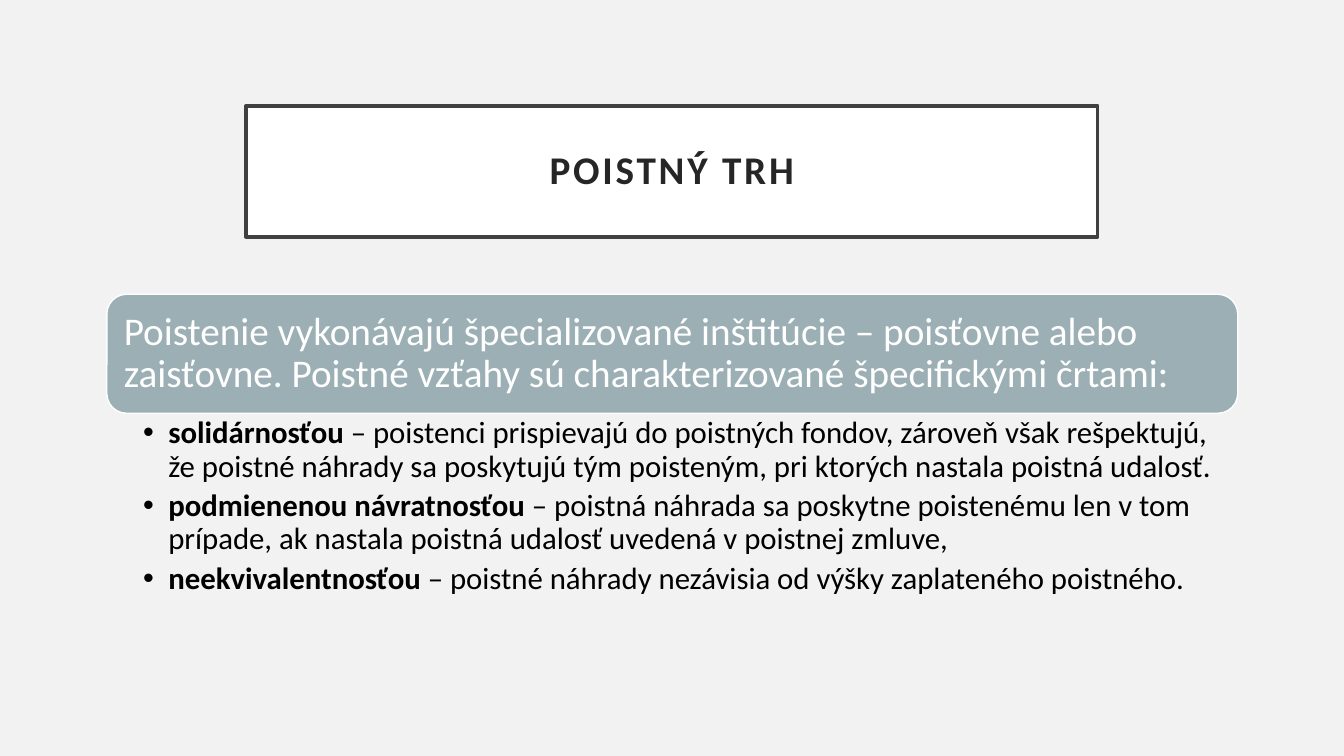
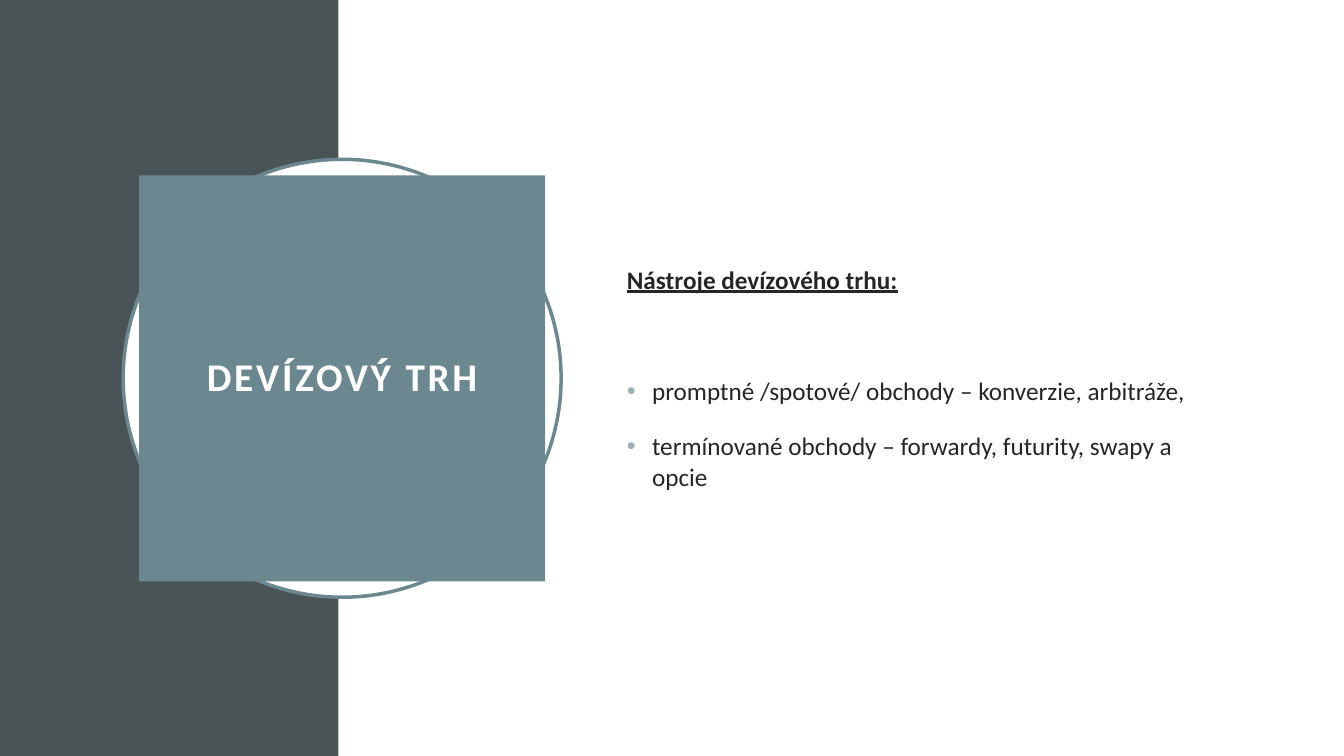
from lxml.etree import SubElement
from pptx import Presentation
from pptx.dml.color import RGBColor
from pptx.enum.shapes import MSO_SHAPE as Shape
from pptx.enum.text import MSO_ANCHOR as Anchor, MSO_AUTO_SIZE as AutoSize, PP_ALIGN as Align
from pptx.oxml.ns import qn
from pptx.util import Pt

FONT = "Calibri"
WHITE = "FFFFFF"
BLACK = "000000"
PALE_GREY = "F2F2F2"
INK = "262626"
FRAME = "404040"
SLATE = "4A5356"
TEAL = "6B8891"
MIST = "9BAFB5"


def paint(fill, colour):
    fill.solid()
    fill.fore_color.rgb = RGBColor.from_string(colour)


def format_paragraph(paragraph, size, colour, bullet=None):
    properties = paragraph._p.get_or_add_pPr()
    properties.set("marL", str(Pt(18) if bullet else 0))
    properties.set("indent", str(Pt(-18) if bullet else 0))
    if bullet:
        bullet_colour = SubElement(properties, qn("a:buClr"))
        SubElement(bullet_colour, qn("a:srgbClr")).set("val", bullet)
        SubElement(properties, qn("a:buChar")).set("char", "•")
    else:
        SubElement(properties, qn("a:buNone"))
    for run in paragraph.runs:
        run.font.name = FONT
        run.font.size = Pt(size)
        paint(run.font.fill, colour)


presentation = Presentation()
presentation.slide_width = Pt(960)
presentation.slide_height = Pt(540)

slide_styles = [
    ("POISTNÝ TRH", PALE_GREY, (175.7, 75.6, 608.4, 93.6), WHITE, INK,
     (76.3, 295.2, 807.8, 155.5)),
    ("DEVÍZOVÝ TRH", WHITE, (99.4, 125.2, 290, 290), TEAL, WHITE,
     (440.6, 110.2, 419, 319)),
]
for heading, background, title_box, title_fill, title_colour, body_box in slide_styles:
    slide = presentation.slides.add_slide(presentation.slide_layouts[1])
    paint(slide.background.fill, background)
    title, body = slide.placeholders
    for shape, box in ((title, title_box), (body, body_box)):
        shape.left, shape.top, shape.width, shape.height = [Pt(length) for length in box]
        shape.text_frame.auto_size = AutoSize.NONE
        shape.text_frame.word_wrap = True
        shape.text_frame.vertical_anchor = Anchor.MIDDLE
    paint(title.fill, title_fill)
    frame = title.text_frame
    frame.margin_left = frame.margin_right = frame.margin_top = frame.margin_bottom = Pt(14.4)
    frame.text = heading
    paragraph = frame.paragraphs[0]
    paragraph.alignment = Align.CENTER
    paragraph.line_spacing = 0.9
    format_paragraph(paragraph, 28, title_colour)
    run = paragraph.runs[0]
    run.font.bold = True
    run._r.get_or_add_rPr().set("spc", "200")

insurance_slide, currency_slide = presentation.slides

title, body = insurance_slide.placeholders
paint(title.line.fill, FRAME)
title.line.width = Pt(2.5)

banner = insurance_slide.shapes.add_shape(
    Shape.ROUNDED_RECTANGLE, Pt(76.3), Pt(210.2), Pt(807.8), Pt(85))
banner.shadow.inherit = False
paint(banner.fill, MIST)
paint(banner.line.fill, WHITE)
banner.line.width = Pt(1)
frame = banner.text_frame
frame.word_wrap = True
frame.vertical_anchor = Anchor.MIDDLE
frame.margin_left = frame.margin_right = Pt(8)
frame.text = ("Poistenie vykonávajú špecializované inštitúcie – poisťovne alebo zaisťovne. "
              "Poistné vzťahy sú charakterizované špecifickými črtami:")
paragraph = frame.paragraphs[0]
paragraph.alignment = Align.LEFT
paragraph.line_spacing = 0.9
format_paragraph(paragraph, 28, WHITE)

features = [
    ("solidárnosťou", " – poistenci prispievajú do poistných fondov, zároveň však rešpektujú, "
     "že poistné náhrady sa poskytujú tým poisteným, pri ktorých nastala poistná udalosť."),
    ("podmienenou návratnosťou", " – poistná náhrada sa poskytne poistenému len v tom prípade, "
     "ak nastala poistná udalosť uvedená v poistnej zmluve,"),
    ("neekvivalentnosťou", " – poistné náhrady nezávisia od výšky zaplateného poistného."),
]
frame = body.text_frame
frame.vertical_anchor = Anchor.TOP
frame.margin_left, frame.margin_right = Pt(25.9), Pt(15.8)
frame.margin_top = frame.margin_bottom = Pt(2.9)
frame.text = "\n".join(term for term, explanation in features)
for paragraph, (term, explanation) in zip(frame.paragraphs, features):
    paragraph.runs[0].font.bold = True
    paragraph.add_run().text = explanation
    paragraph.line_spacing = 0.9
    paragraph.space_before = Pt(0)
    paragraph.space_after = Pt(4.4)
    format_paragraph(paragraph, 22, BLACK, BLACK)

title, body = currency_slide.placeholders
side_panel = currency_slide.shapes.add_shape(Shape.RECTANGLE, 0, 0, Pt(241.7), Pt(540))
ring = currency_slide.shapes.add_shape(Shape.OVAL, Pt(88), Pt(113.8), Pt(312.8), Pt(312.8))
for shape, colour in ((side_panel, SLATE), (ring, WHITE)):
    shape.shadow.inherit = False
    paint(shape.fill, colour)
side_panel.line.fill.background()
paint(ring.line.fill, TEAL)
ring.line.width = Pt(2.5)
currency_slide.shapes.element.append(title.element)

instruments = [
    ("Nástroje devízového trhu:", None, 0, 48),
    ("promptné /spotové/ obchody – konverzie, arbitráže,", MIST, 10, 8),
    ("termínované obchody – forwardy, futurity, swapy a opcie", MIST, 10, 0),
]
frame = body.text_frame
frame.text = "\n".join(text for text, *style in instruments)
for paragraph, (text, bullet, before, after) in zip(frame.paragraphs, instruments):
    paragraph.space_before = Pt(before)
    paragraph.space_after = Pt(after)
    format_paragraph(paragraph, 18, INK, bullet)
heading_font = frame.paragraphs[0].runs[0].font
heading_font.bold = True
heading_font.underline = True

presentation.save("out.pptx")
